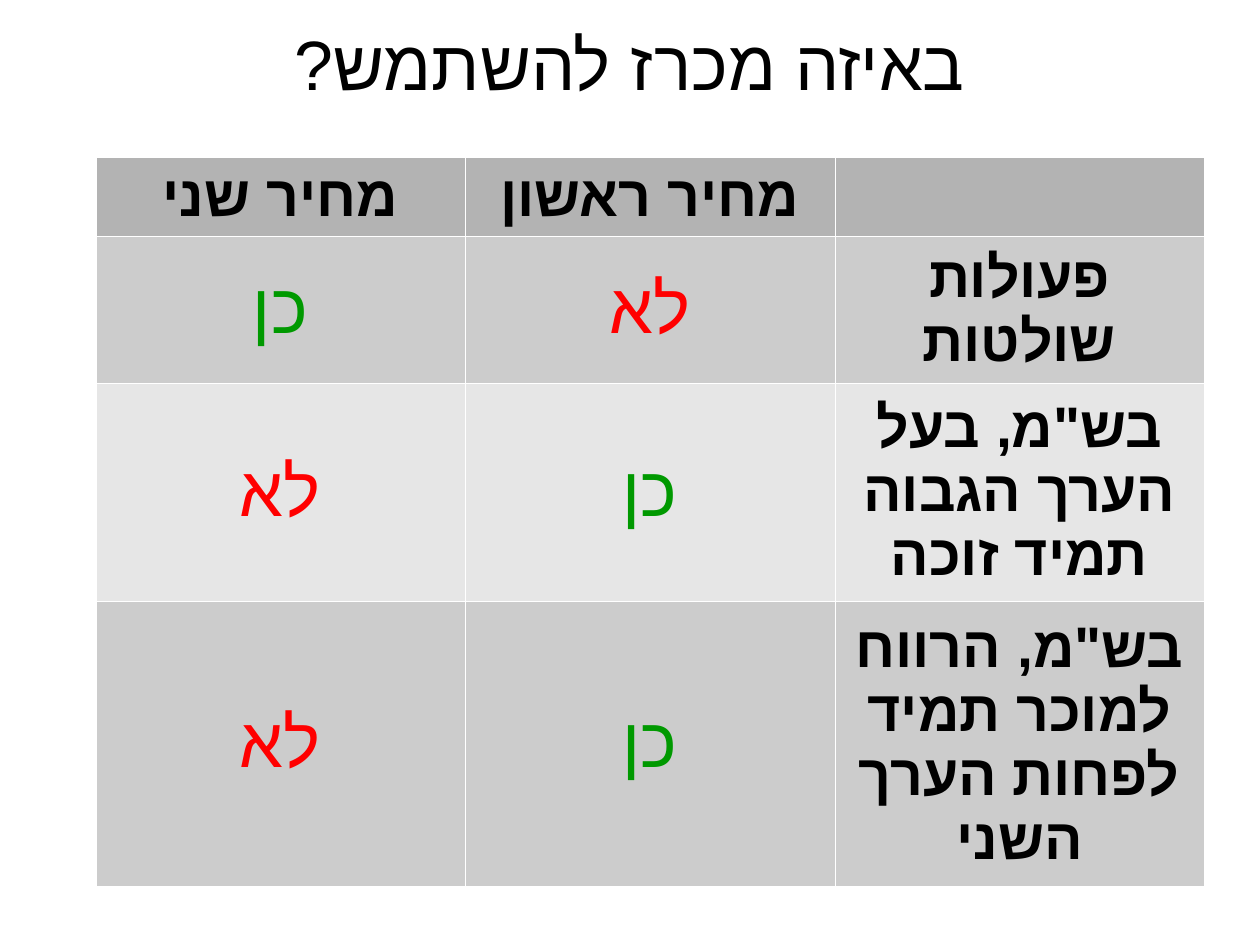
from lxml.etree import SubElement
from pptx import Presentation
from pptx.dml.color import RGBColor
from pptx.enum.text import MSO_ANCHOR as Anchor, PP_ALIGN as Align
from pptx.oxml.ns import qn
from pptx.util import Pt

FONT = "Arial"
COLORS = {
    "text": "000000", "yes": "009900", "no": "FF0000", "border": "FFFFFF",
    "header": "B3B3B3", "odd": "CCCCCC", "even": "E6E6E6",
}
LABEL = {"size": Pt(36), "bold": True}
LARGE = {"size": Pt(44), "bold": False}
ANSWERS = {"כן": "yes", "לא": "no"}
AUCTION_ROWS = [
    ["מחיר שני", "מחיר ראשון", ""],
    ["כן", "לא", "פעולות שולטות"],
    ["לא", "כן", 'בש"מ, בעל הערך הגבוה תמיד זוכה'],
    ["לא", "כן", 'בש"מ, הרווח למוכר תמיד לפחות הערך השני'],
]
ROW_HEIGHTS = [49.9, 92.6, 137.2, 179.5]


def color(name):
    return RGBColor.from_string(COLORS[name])


def write_hebrew(frame, text, style, color_name):
    """Fill a text frame with one centred right-to-left paragraph."""
    para = frame.paragraphs[0]
    para.alignment = Align.CENTER
    para._p.get_or_add_pPr().set("rtl", "1")
    span = para.add_run()
    span.text = text
    span.font.name = FONT
    span.font.color.rgb = color(color_name)
    for name, value in style.items():
        setattr(span.font, name, value)
    properties = span._r.get_or_add_rPr()
    properties.set("lang", "he-IL")
    SubElement(properties, qn("a:cs"), typeface=FONT)


def add_borders(cell):
    properties = cell._tc.get_or_add_tcPr()
    for index, side in enumerate(("lnL", "lnR", "lnT", "lnB")):
        line = SubElement(properties, qn(f"a:{side}"), w=str(Pt(0.06)))
        fill = SubElement(line, qn("a:solidFill"))
        SubElement(fill, qn("a:srgbClr"), val=COLORS["border"])
        properties.insert(index, line)


def place_title(page, left, top, width, height):
    box = page.shapes.title
    for name, value in {"left": left, "top": top, "width": width, "height": height}.items():
        setattr(box, name, Pt(value))
    frame = box.text_frame
    for side in ("left", "top", "right", "bottom"):
        setattr(frame, f"margin_{side}", 0)
    frame.vertical_anchor = Anchor.MIDDLE
    write_hebrew(frame, "באיזה מכרז להשתמש?", LARGE, "text")


def place_auction_table(page, left, top, width):
    columns = len(AUCTION_ROWS[0])
    table = page.shapes.add_table(
        len(AUCTION_ROWS), columns, Pt(left), Pt(top), Pt(width), Pt(sum(ROW_HEIGHTS))
    ).table
    for column in table.columns:
        column.width = Pt(width / columns)
    for index, (texts, height) in enumerate(zip(AUCTION_ROWS, ROW_HEIGHTS)):
        table.rows[index].height = Pt(height)
        band = "header" if index == 0 else ("even", "odd")[index % 2]
        for cell, text in zip(table.rows[index].cells, texts):
            cell.fill.solid()
            cell.fill.fore_color.rgb = color(band)
            cell.vertical_anchor = Anchor.MIDDLE
            add_borders(cell)
            if text:
                style = LARGE if text in ANSWERS else LABEL
                write_hebrew(cell.text_frame, text, style, ANSWERS.get(text, "text"))


def main():
    deck = Presentation()
    deck.slide_width, deck.slide_height = Pt(793.7), Pt(595.3)
    page = deck.slides.add_slide(deck.slide_layouts[5])
    place_title(page, 39.7, 14.2, 714.3, 51)
    place_auction_table(page, 60.2, 98.9, 698.4)
    deck.save("out.pptx")


if __name__ == "__main__":
    main()
